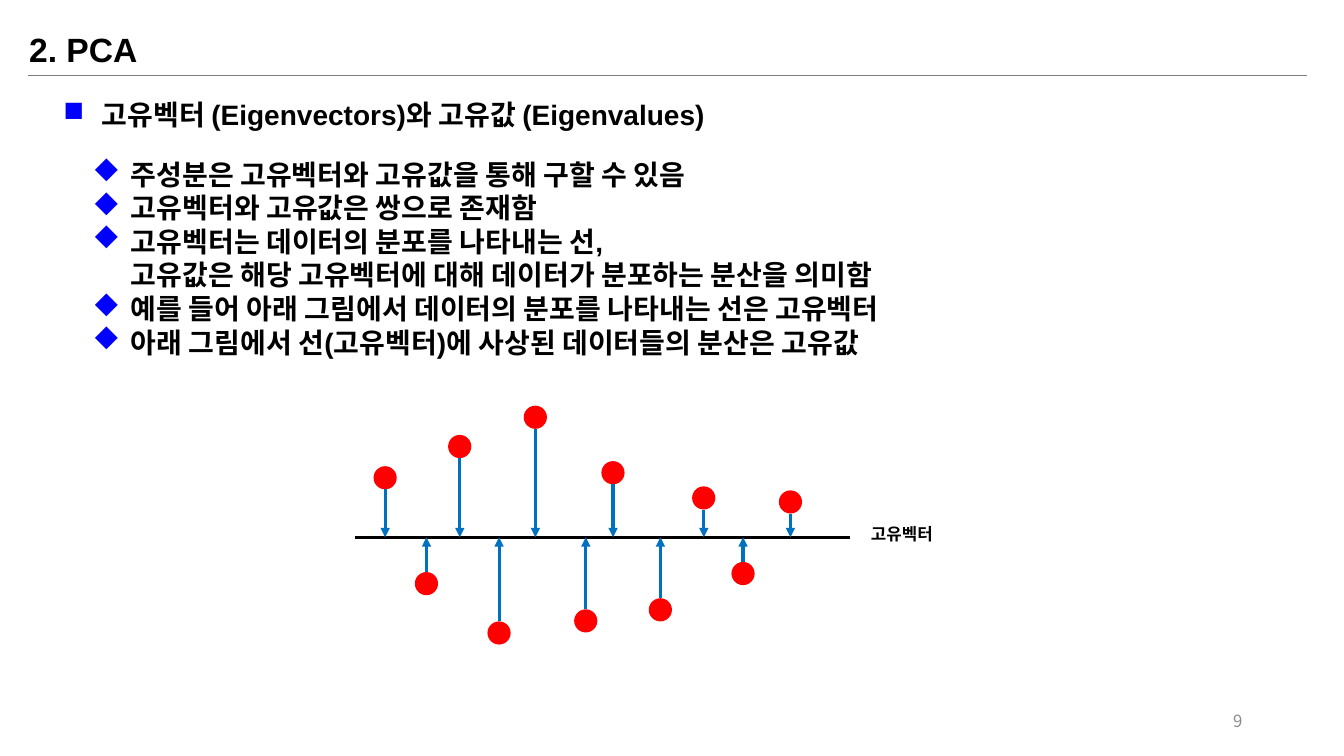
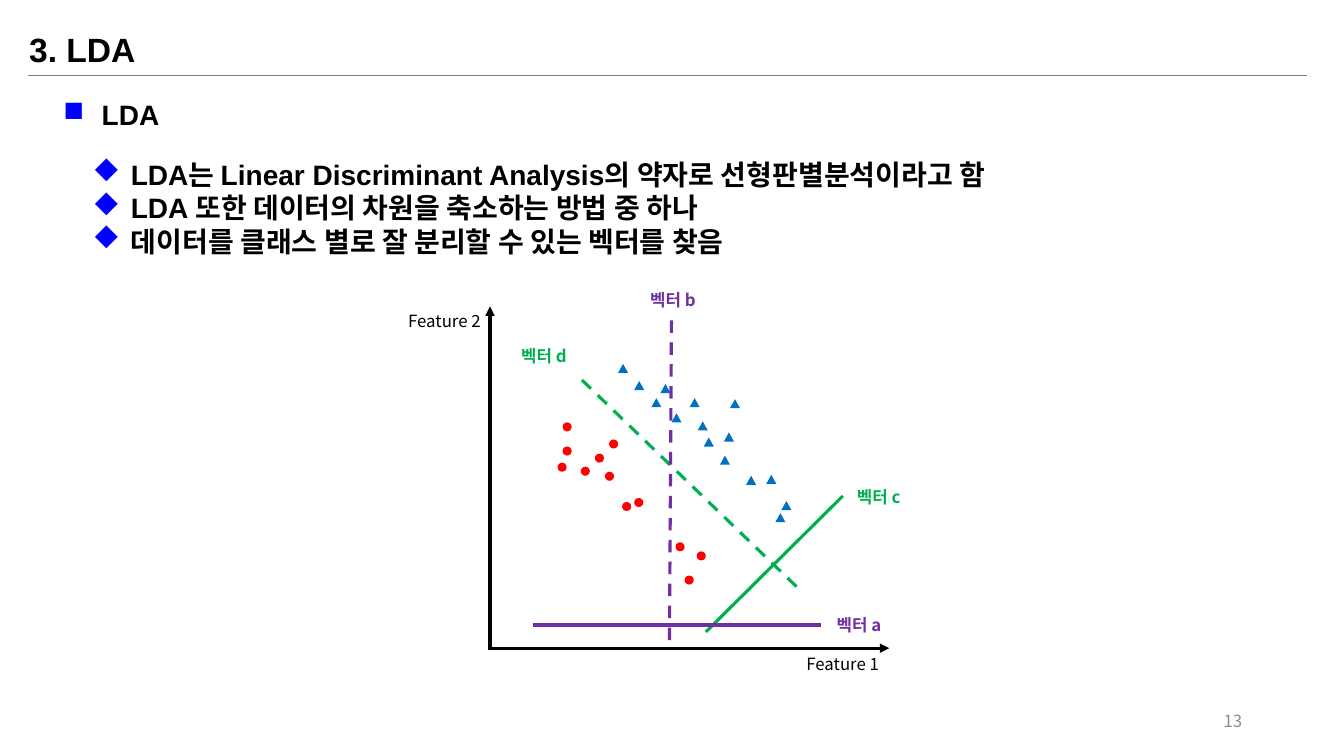
import pptx
import pptx.util
import pptx.dml.color
import pptx.enum.dml
import pptx.enum.shapes
import pptx.enum.text
import pptx.oxml
import pptx.oxml.ns

Inches = pptx.util.Inches
SHAPE = pptx.enum.shapes.MSO_SHAPE
ALIGN = pptx.enum.text.PP_ALIGN
ANCHOR = pptx.enum.text.MSO_ANCHOR

BLACK = "000000"
RED = "FF0000"
BLUE = "0070C0"
GREEN = "00B050"
PURPLE = "7030A0"
GRAY = "8C8C8C"
RULE = "7F7F7F"
BULLET = "0000FF"
HEAD_FONT = "Arial"
BODY_FONT = "Noto Sans CJK KR"
SQUARE = "n"
DIAMOND = "u"


def rgb(color):
    return pptx.dml.color.RGBColor.from_string(color)


def add_xml(parent, tag, **attrs):
    child = pptx.oxml.parse_xml(f"<a:{tag} {pptx.oxml.ns.nsdecls('a')}/>")
    for key, value in attrs.items():
        child.set(key, value)
    parent.append(child)
    return child


def add_bullet(p, char):
    pPr = p._p.get_or_add_pPr()
    indent = Inches(0.38)
    pPr.set("marL", str(indent))
    pPr.set("indent", str(-indent))
    add_xml(add_xml(pPr, "buClr"), "srgbClr", val=BULLET)
    add_xml(pPr, "buFont", typeface="Wingdings")
    add_xml(pPr, "buChar", char=char)


def add_text(shapes, text, x, y, w, h, size=12, font=BODY_FONT, color=BLACK, bold=False,
             align=ALIGN.LEFT, anchor=ANCHOR.TOP, wrap=True, bullet=None):
    sp = shapes.add_textbox(Inches(x), Inches(y), Inches(w), Inches(h))
    tf = sp.text_frame
    tf.word_wrap = wrap
    tf.vertical_anchor = anchor
    tf.text = text
    for p in tf.paragraphs:
        p.alignment = align
        if bullet:
            add_bullet(p, bullet)
        for r in p.runs:
            r.font.size = pptx.util.Pt(size)
            r.font.name = font
            r.font.bold = bold
            r.font.color.rgb = rgb(color)
            add_xml(r.font._element, "ea", typeface=BODY_FONT)


def add_line(shapes, start, end, color, width=2.25, arrow=False, dash=False):
    sp = shapes.add_connector(pptx.enum.shapes.MSO_CONNECTOR.STRAIGHT,
                              *[Inches(v) for v in (*start, *end)])
    sp.line.color.rgb = rgb(color)
    sp.line.width = pptx.util.Pt(width)
    if dash:
        sp.line.dash_style = pptx.enum.dml.MSO_LINE.DASH
    if arrow:
        add_xml(sp.line._get_or_add_ln(), "tailEnd", type="triangle")
    add_xml(sp._element.spPr, "effectLst")


def add_marker(shapes, kind, x, y, w, h, color):
    sp = shapes.add_shape(kind, Inches(x), Inches(y), Inches(w), Inches(h))
    sp.shadow.inherit = False
    sp.fill.solid()
    sp.fill.fore_color.rgb = rgb(color)
    sp.line.fill.background()


def add_label(shapes, text, x, y, w, color=BLACK, bold=True):
    add_text(shapes, text, x, y, w, 0.3, color=color, bold=bold, wrap=False)


def add_content_slide(prs, title, heading, points, number):
    s = prs.slides.add_slide(prs.slide_layouts[6])
    head = dict(font=HEAD_FONT, bold=True)
    add_line(s.shapes, (0.28, 0.75), (12.96, 0.75), RULE, width=0.5)
    add_text(s.shapes, title, 0.19, 0.24, 9.15, 0.5, size=24, **head)
    add_text(s.shapes, heading, 0.53, 0.92, 9.15, 0.44, size=20, bullet=SQUARE, **head)
    add_text(s.shapes, str(number), 9.42, 6.95, 3, 0.4, color=GRAY,
             align=ALIGN.RIGHT, anchor=ANCHOR.MIDDLE)
    lines = sum(1 + point.count("\v") for point in points)
    add_text(s.shapes, "\n".join(points), 0.82, 1.51, 11.76, 0.1 + lines * 0.34,
             size=20, bullet=DIAMOND, **head)
    return s


def add_projection(s):
    axis_y, size = 5.33, 0.23
    points = [(3.82, 4.74), (4.56, 4.43), (5.31, 4.14), (6.08, 4.69), (6.98, 4.94),
              (7.84, 4.98), (4.23, 5.79), (4.95, 6.28), (5.81, 6.16), (6.55, 6.05),
              (7.37, 5.69)]
    shapes = s.shapes.add_group_shape().shapes
    add_line(shapes, (3.52, axis_y), (8.43, axis_y), BLACK)
    for x, y in points:
        add_marker(shapes, SHAPE.OVAL, x - size / 2, y - size / 2, size, size, RED)
    for x, y in points:
        edge = y + size / 2 if y < axis_y else y - size / 2
        add_line(shapes, (x, edge), (x, axis_y), BLUE, arrow=True)
    add_label(shapes, "고유벡터", 8.54, 5.15, 0.88)


def add_class_plot(s):
    circles = [(5.58, 4.43), (5.58, 4.19), (5.9, 4.5), (5.53, 4.59), (6, 4.68), (5.76, 4.63),
               (6.04, 4.36), (6.17, 4.98), (6.29, 4.94), (6.7, 5.38), (6.91, 5.47),
               (6.79, 5.71)]
    triangles = [(6.13, 3.61), (7.6, 4.71), (6.55, 3.81), (6.84, 3.95), (6.66, 4.1),
                 (6.92, 4.18), (7.24, 3.96), (7.18, 4.29), (6.98, 4.34), (7.14, 4.52),
                 (7.4, 4.72), (6.29, 3.78), (6.46, 3.95), (7.75, 4.97), (7.69, 5.09)]
    vectors = [("c", (7, 6.27), (8.36, 4.92), GREEN, False, (8.4, 4.78)),
               ("d", (7.9, 5.82), (5.72, 3.72), GREEN, True, (5.07, 3.38)),
               ("a", (5.29, 6.2), (8.14, 6.2), PURPLE, False, (8.2, 6.05)),
               ("b", (6.64, 6.35), (6.66, 3.14), PURPLE, True, (6.35, 2.83))]
    shapes = s.shapes.add_group_shape().shapes
    add_line(shapes, (4.86, 6.45), (4.86, 3.04), BLACK, arrow=True)
    add_line(shapes, (4.87, 6.43), (8.82, 6.43), BLACK, arrow=True)
    for x, y in circles:
        add_marker(shapes, SHAPE.OVAL, x, y, 0.09, 0.09, RED)
    for x, y in triangles:
        add_marker(shapes, SHAPE.ISOSCELES_TRIANGLE, x, y, 0.1, 0.09, BLUE)
    add_label(shapes, "Feature 2", 3.95, 3.03, 0.92, bold=False)
    add_label(shapes, "Feature 1", 7.9, 6.44, 0.92, bold=False)
    for name, start, end, color, dash, place in vectors:
        add_line(shapes, start, end, color, dash=dash)
        add_label(shapes, f"벡터 {name}", *place, 0.7, color=color)


def main():
    prs = pptx.Presentation()
    prs.slide_width = Inches(13.33)
    prs.slide_height = Inches(7.5)

    s = add_content_slide(prs, "2. PCA", "고유벡터 (Eigenvectors)와 고유값 (Eigenvalues)", [
        "주성분은 고유벡터와 고유값을 통해 구할 수 있음",
        "고유벡터와 고유값은 쌍으로 존재함",
        "고유벡터는 데이터의 분포를 나타내는 선,\v"
        "고유값은 해당 고유벡터에 대해 데이터가 분포하는 분산을 의미함",
        "예를 들어 아래 그림에서 데이터의 분포를 나타내는 선은 고유벡터",
        "아래 그림에서 선(고유벡터)에 사상된 데이터들의 분산은 고유값",
    ], 9)
    add_projection(s)

    s = add_content_slide(prs, "3. LDA", "LDA", [
        "LDA는 Linear Discriminant Analysis의 약자로 선형판별분석이라고 함",
        "LDA 또한 데이터의 차원을 축소하는 방법 중 하나",
        "데이터를 클래스 별로 잘 분리할 수 있는 벡터를 찾음",
    ], 13)
    add_class_plot(s)

    prs.save("out.pptx")


main()
